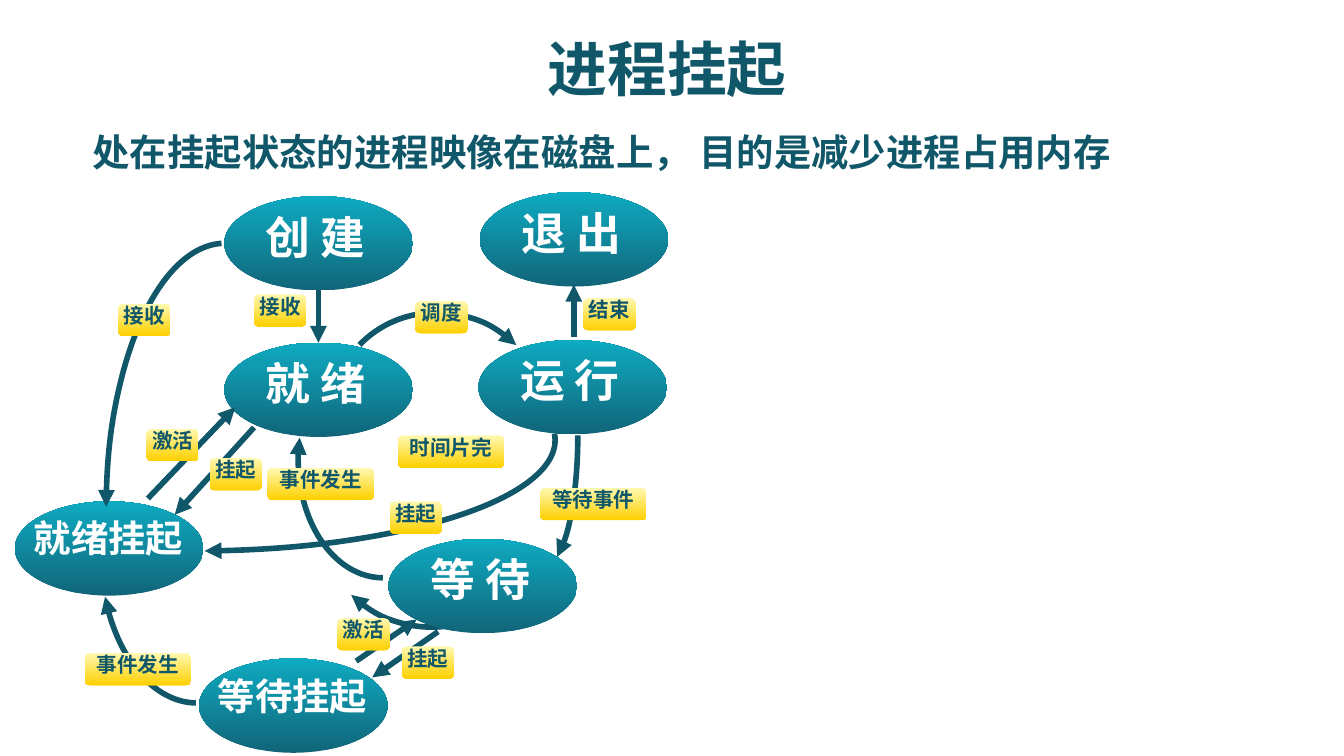
from lxml import etree
from pptx import Presentation
from pptx import util as u
from pptx.dml.color import RGBColor
from pptx.enum import shapes, text
from pptx.oxml import ns

FONT = "Noto Sans CJK SC"
TEAL, WHITE = "11576A", "FFFFFF"
STATE_FILL = [(0, "116579"), (77, "0F9BB1"), (100, "0EABC2")]
LABEL_FILL = [(0, "FFF9B1"), (100, "FDD000"), (100, "E1E8F5")]
STATE_W, STATE_H = 101, 50.5
LABEL_H = 17.3

# State name, left, top within the diagram
STATES = [
    ("创 建", 112.2, 2.1), ("就 绪", 112.2, 80.6), ("运 行", 248.3, 79.2),
    ("等 待", 200.1, 185.7), ("退 出", 249, 0),
    ("就绪挂起", 0, 165.6), ("等待挂起", 98.6, 249.8),
]
# Box, start and end angle, rotation, flips, arrowhead end
ARCS_BEHIND = [
    ((265.6, 59.7, 36, 141.1), (0.08, 50.35), 0, "", "tailEnd"),
    ((161.2, 110.1, 120.2, 123.8), (160.58, 215.56), 134, "", "tailEnd"),
]
ARCS_FRONT = [
    ((169.8, 63.3, 116.6, 121), (162, 0), 314, "", "tailEnd"),
    ((-98.7, 73.4, 388.1, 118.8), (215.38, 50.37), 0, "", "tailEnd"),
    ((151.8, 79.9, 90.7, 126.7), (207.14, 54), 0, "H", "headEnd"),
    ((46, 111.6, 103, 162), (15.68, 53.78), 0, "H", "headEnd"),
    ((48.9, 27.3, 127.4, 284.4), (0.54, 53.54), 0, "HV", "headEnd"),
]
# Start x, y and arrow tip x, y
ARROWS = [
    (162.6, 52.5, 162.6, 80.6), (299.4, 77.7, 299.4, 49.6),
    (226.7, 235.4, 191.4, 259.9), (182.8, 251.2, 215.2, 228.9),
    (71.2, 164.1, 118, 115.2), (128.1, 126, 85.6, 172.8),
]
# Transition name, left, top
LABELS = [
    ("挂起", 200.8, 165.6), ("接收", 55.4, 59.7), ("事件发生", 37.4, 246.9),
    ("接收", 128.1, 54.7), ("激活", 70.5, 126.7), ("挂起", 104.3, 142.5),
    ("事件发生", 135.3, 147.6), ("激活", 172.7, 228.2), ("挂起", 207.3, 243.3),
    ("等待事件", 281.4, 158.4), ("时间片完", 205.1, 130.3),
    ("调度", 214.5, 58.3), ("结束", 304.5, 56.8),
]


def color(value):
    return RGBColor.from_string(value)


def points(*values):
    return [u.Pt(value) for value in values]


def add_text(slide, box, words, size, ink=TEAL, align=text.PP_ALIGN.LEFT,
             anchor=text.MSO_ANCHOR.TOP, wrap=True, grow=True):
    frame = slide.shapes.add_textbox(*points(*box)).text_frame
    frame.word_wrap = wrap
    frame.vertical_anchor = anchor
    if grow:
        frame.auto_size = text.MSO_AUTO_SIZE.SHAPE_TO_FIT_TEXT
    paragraph = frame.paragraphs[0]
    paragraph.alignment = align
    paragraph.line_spacing = 0.88
    run = paragraph.add_run()
    run.text = words
    run.font.size = u.Pt(size)
    run.font.bold = True
    run.font.name = FONT
    run.font.color.rgb = color(ink)
    east_asian = etree.SubElement(run.font._element, ns.qn("a:ea"))
    east_asian.set("typeface", FONT)


def add_gradient_shape(slide, kind, box, stops, angle):
    shape = slide.shapes.add_shape(kind, *points(*box))
    shape.shadow.inherit = False
    shape.line.fill.background()
    shape.fill.gradient()
    gradient = shape._element.spPr.find(ns.qn("a:gradFill"))
    stop_list = gradient.find(ns.qn("a:gsLst"))
    for stop in list(stop_list):
        stop_list.remove(stop)
    for position, value in stops:
        stop = etree.SubElement(stop_list, ns.qn("a:gs"), pos=str(position * 1000))
        etree.SubElement(stop, ns.qn("a:srgbClr"), val=value)
    gradient.find(ns.qn("a:lin")).set("ang", str(angle * 60000))


def style_arrow(shape, end):
    shape.line.color.rgb = color(TEAL)
    shape.line.width = u.Pt(3)
    etree.SubElement(shape.line._get_or_add_ln(), ns.qn("a:" + end), type="triangle")


def add_arc(slide, box, angles, rotation, flips, end):
    shape = slide.shapes.add_shape(shapes.MSO_SHAPE.ARC, *points(*box))
    shape.shadow.inherit = False
    shape.fill.background()
    shape.adjustments[0], shape.adjustments[1] = angles
    shape.rotation = rotation
    for axis in flips:
        shape._element.spPr.xfrm.set("flip" + axis, "1")
    style_arrow(shape, end)


def add_arrow(slide, ends):
    line = slide.shapes.add_connector(shapes.MSO_CONNECTOR.STRAIGHT, *points(*ends))
    style_arrow(line, "tailEnd")
    etree.SubElement(line._element.spPr, ns.qn("a:effectLst"))


def add_state(slide, name, left, top):
    add_gradient_shape(slide, shapes.MSO_SHAPE.OVAL,
                       (left, top, STATE_W, STATE_H), STATE_FILL, 270)
    width, height, size = (95, 32, 20) if len(name) == 4 else (70.6, 36, 24)
    add_text(slide, (left + (STATE_W - width) / 2, top + 7.2, width, height),
             name, size, WHITE, wrap=False)


def add_label(slide, name, left, top):
    width = 28 if len(name) == 2 else 57
    add_gradient_shape(slide, shapes.MSO_SHAPE.ROUNDED_RECTANGLE,
                       (left, top, width, LABEL_H), LABEL_FILL, 90)
    add_text(slide, (left - 5.5, top - 2.3, width + 11, 20.9), name, 11,
             align=text.PP_ALIGN.CENTER)


def add_heading(slide, left, top):
    add_text(slide, (left, top + 63, 574.6, 31.7),
             "处在挂起状态的进程映像在磁盘上， 目的是减少进程占用内存", 20)
    add_text(slide, (left + 234, top, 162, 66), "进程挂起", 32,
             align=text.PP_ALIGN.CENTER, anchor=text.MSO_ANCHOR.MIDDLE, grow=False)


def add_diagram(slide, left, top):
    def add_arcs(arcs):
        for (x, y, width, height), *style in arcs:
            add_arc(slide, (left + x, top + y, width, height), *style)

    # Curves that run behind the states
    add_arcs(ARCS_BEHIND)
    # States
    for name, x, y in STATES:
        add_state(slide, name, left + x, top + y)
    # Curves and straight arrows
    add_arcs(ARCS_FRONT)
    for x1, y1, x2, y2 in ARROWS:
        add_arrow(slide, (left + x1, top + y1, left + x2, top + y2))
    # Transition labels
    for name, x, y in LABELS:
        add_label(slide, name, left + x, top + y)


def main():
    presentation = Presentation()
    presentation.slide_width, presentation.slide_height = points(720, 405)
    slide = presentation.slides.add_slide(presentation.slide_layouts[6])
    add_heading(slide, 42.5, 6)
    add_diagram(slide, 8, 103)
    presentation.save("out.pptx")


if __name__ == "__main__":
    main()
